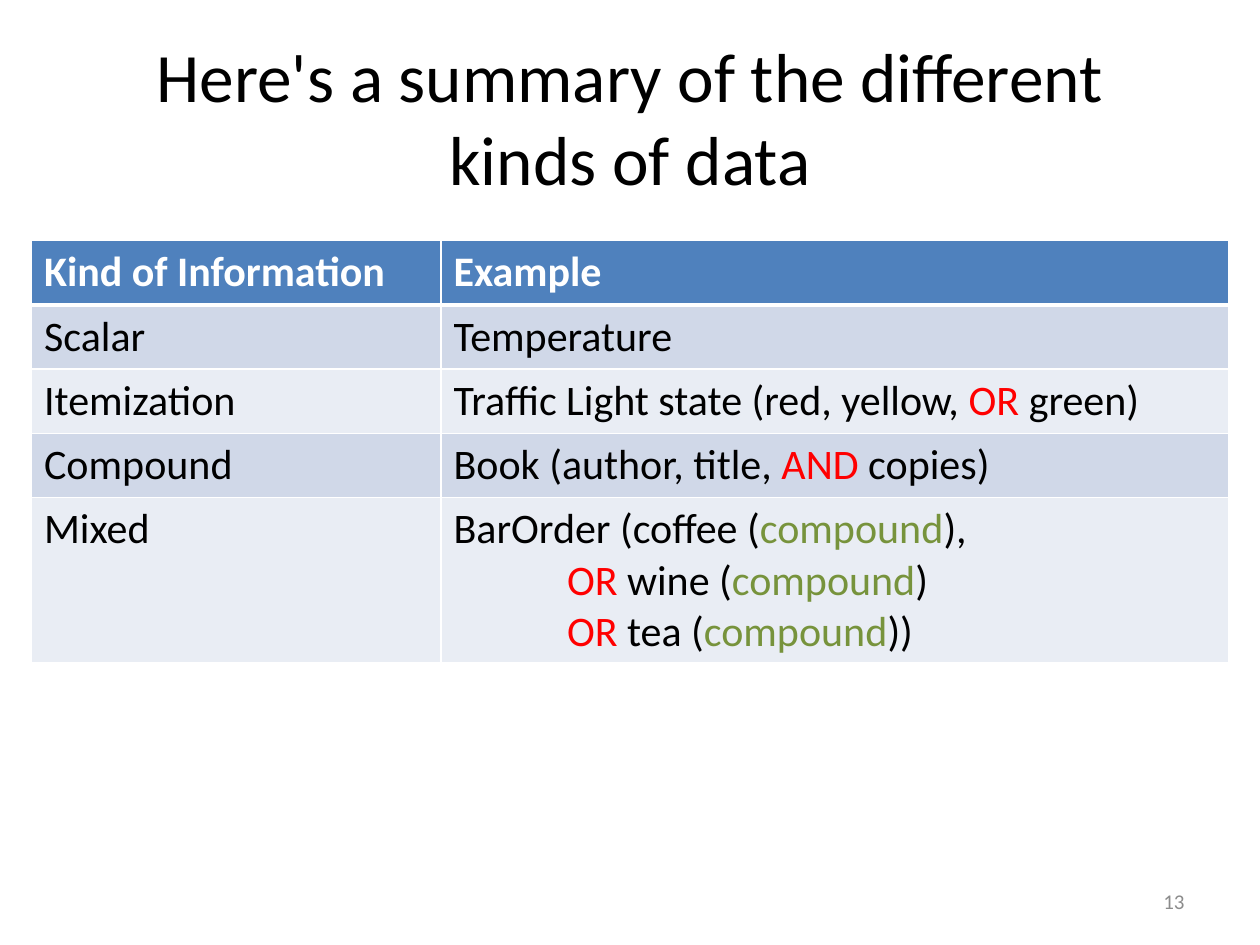
from dataclasses import dataclass

from lxml.etree import SubElement
from pptx import Presentation
from pptx.dml.color import RGBColor
from pptx.enum.shapes import MSO_SHAPE
from pptx.enum.text import MSO_ANCHOR, PP_ALIGN
from pptx.oxml.ns import qn
from pptx.util import Inches, Pt


@dataclass(frozen=True)
class Theme:
    font: str = "Calibri"
    title_size: float = 39.6
    table_size: float = 24
    number_size: float = 12
    text: str = "000000"
    white: str = "FFFFFF"
    header: str = "4F81BD"
    bands: tuple = ("D0D8E8", "E9EDF4")
    operator: str = "FF0000"
    kind: str = "77933C"
    number: str = "8C8C8C"


theme = Theme()
TEXT_COLORS = {"OR": theme.operator, "AND": theme.operator, "compound": theme.kind}


def write_runs(paragraph, pieces, size, color, bold=False):
    """Add one run per piece; operators and kinds take their own colour."""
    for piece in pieces:
        run = paragraph.add_run()
        run.text = piece
        run.font.name = theme.font
        run.font.size = Pt(size)
        run.font.bold = bold
        run.font.color.rgb = RGBColor.from_string(TEXT_COLORS.get(piece, color))


def set_borders(cell, bottom_width):
    properties = cell._tc.get_or_add_tcPr()
    for side, width in (("L", 1), ("R", 1), ("T", 1), ("B", bottom_width)):
        line = SubElement(properties, qn(f"a:ln{side}"), w=str(Pt(width)))
        fill = SubElement(line, qn("a:solidFill"))
        SubElement(fill, qn("a:srgbClr"), val=theme.white)


presentation = Presentation()
presentation.slide_width = Inches(10)
presentation.slide_height = Inches(7.5)
slide = presentation.slides.add_slide(presentation.slide_layouts[6])

# Title on a white panel, and slide number
title = slide.shapes.add_shape(
    MSO_SHAPE.RECTANGLE, Inches(0.5), Inches(0.3), Inches(9), Inches(1.25)
)
title.shadow.inherit = False
title.fill.solid()
title.fill.fore_color.rgb = RGBColor.from_string(theme.white)
title.line.fill.background()
number = slide.shapes.add_textbox(Inches(7.17), Inches(6.95), Inches(2.33), Inches(0.4))

labels = [
    (title, "Here's a summary of the different kinds of data",
     theme.title_size, theme.text, PP_ALIGN.CENTER),
    (number, "13", theme.number_size, theme.number, PP_ALIGN.RIGHT),
]
for shape, text, size, color, alignment in labels:
    shape.text_frame.word_wrap = True
    shape.text_frame.vertical_anchor = MSO_ANCHOR.MIDDLE
    paragraph = shape.text_frame.paragraphs[0]
    paragraph.alignment = alignment
    write_runs(paragraph, [text], size, color)

# Each row holds a kind and the lines of its example, split into runs
rows = [
    ("Kind of Information", [["Example"]]),
    ("Scalar", [["Temperature"]]),
    ("Itemization", [["Traffic Light state (red, yellow, ", "OR", " green)"]]),
    ("Compound", [["Book (author, title, ", "AND", " copies)"]]),
    ("Mixed", [
        ["BarOrder (coffee (", "compound", "),"],
        ["OR", " wine (", "compound", ")"],
        ["OR", " tea (", "compound", "))"],
    ]),
]
table = slide.shapes.add_table(
    len(rows), 2, Inches(0.25), Inches(1.91), Inches(9.5), Inches(3.35)
).table
for column, width in zip(table.columns, (3.25, 6.25)):
    column.width = Inches(width)

for row_index, (kind, example) in enumerate(rows):
    is_header = row_index == 0
    table.rows[row_index].height = Inches(0.51 + 0.4 * (len(example) - 1))
    fill_color = theme.header if is_header else theme.bands[(row_index - 1) % 2]
    for column_index, lines in enumerate(([[kind]], example)):
        cell = table.cell(row_index, column_index)
        set_borders(cell, 3 if is_header else 1)
        cell.fill.solid()
        cell.fill.fore_color.rgb = RGBColor.from_string(fill_color)
        for line_index, pieces in enumerate(lines):
            if line_index == 0:
                paragraph = cell.text_frame.paragraphs[0]
            else:
                paragraph = cell.text_frame.add_paragraph()
                paragraph._p.get_or_add_pPr().set("marL", str(Inches(0.9)))
            write_runs(paragraph, pieces, theme.table_size,
                       theme.white if is_header else theme.text, is_header)

presentation.save("out.pptx")
